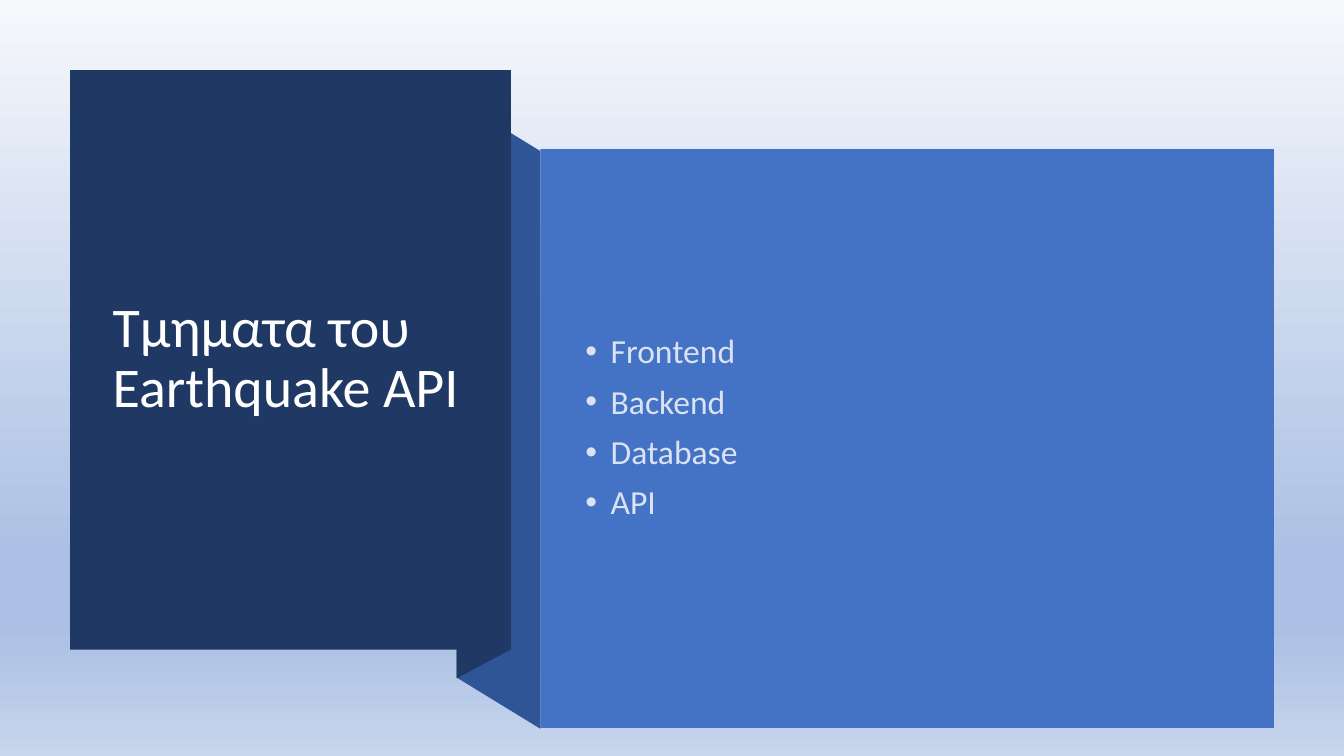
from lxml import etree
from pptx import Presentation
from pptx.dml.color import RGBColor as RGB
from pptx.enum.shapes import MSO_SHAPE as SHAPE
from pptx.enum.text import MSO_ANCHOR as ANCHOR
from pptx.oxml.ns import qn
from pptx.util import Pt

NAVY = RGB(0x20, 0x38, 0x64)
FOLD_BLUE = RGB(0x2F, 0x55, 0x97)
PANEL_BLUE = RGB(0x44, 0x72, 0xC4)
WHITE = RGB(0xFF, 0xFF, 0xFF)
PALE_BLUE = RGB(0xDA, 0xE3, 0xF3)
SKY_STOPS = [
    (0, RGB(0xF6, 0xF8, 0xFC)),
    (74, RGB(0xAB, 0xC0, 0xE4)),
    (83, RGB(0xAB, 0xC0, 0xE4)),
    (100, RGB(0xC7, 0xD5, 0xED)),
]


def set_background(s, stops):
    fill = s.background.fill
    fill.gradient()
    fill.gradient_angle = 270  # counter-clockwise: runs from top to bottom
    gs_list = next(s.element.iter(qn("a:gsLst")))
    for gs in list(gs_list):
        gs_list.remove(gs)
    for percent, color in stops:
        gs = etree.SubElement(gs_list, qn("a:gs"), pos=str(percent * 1000))
        etree.SubElement(gs, qn("a:srgbClr"), val=str(color))


def paint(sp, color):
    sp.shadow.inherit = False
    sp.fill.solid()
    sp.fill.fore_color.rgb = color
    sp.line.fill.background()


def add_polygon(s, points, color):
    start, *rest = [(Pt(x), Pt(y)) for x, y in points]
    builder = s.shapes.build_freeform(*start)
    builder.add_line_segments(rest, close=True)
    paint(builder.convert_to_shape(), color)


def add_panel(s, x, y, w, h, color):
    paint(s.shapes.add_shape(SHAPE.RECTANGLE, Pt(x), Pt(y), Pt(w), Pt(h)), color)


def add_bullet(p, indent):
    pPr = p._p.get_or_add_pPr()
    pPr.set("marL", str(Pt(indent)))
    pPr.set("indent", str(-Pt(indent)))
    etree.SubElement(pPr, qn("a:buFont"), typeface="Arial")
    etree.SubElement(pPr, qn("a:buChar"), char="•")


def add_text(s, x, y, w, h, lines, *, size, color, font="Calibri",
             spacing=0.9, gap=0, bullet_indent=None):
    tf = s.shapes.add_textbox(Pt(x), Pt(y), Pt(w), Pt(h)).text_frame
    tf.word_wrap = True
    tf.vertical_anchor = ANCHOR.MIDDLE
    for i, line in enumerate(lines):
        p = tf.add_paragraph() if i else tf.paragraphs[0]
        if bullet_indent:
            add_bullet(p, bullet_indent)
        p.line_spacing = spacing
        p.space_before = Pt(gap if i else 0)
        r = p.add_run()
        r.text = line
        r.font.name = font
        r.font.size = Pt(size)
        r.font.color.rgb = color


def main():
    prs = Presentation()
    prs.slide_width, prs.slide_height = Pt(960), Pt(540)
    s = prs.slides.add_slide(prs.slide_layouts[6])
    set_background(s, SKY_STOPS)

    # Folded ribbon between the two panels
    add_polygon(s, [(386, 520.6), (326.2, 484), (326.2, 71.3), (386, 108)], FOLD_BLUE)
    add_polygon(s, [(364.6, 464), (326.2, 484.6), (326.2, 70.6), (364.6, 50)], NAVY)

    # Title panel
    add_panel(s, 50, 50, 315, 414, NAVY)
    add_text(s, 73.4, 77, 267.1, 359.3, ["Τμηματα του Earthquake API"],
             size=40, color=WHITE)

    # List panel
    add_panel(s, 386, 106.6, 524, 413.4, PANEL_BLUE)
    add_text(s, 411.1, 135.4, 468.7, 341.3, ["Frontend", "Backend", "Database", "API"],
             size=24, color=PALE_BLUE, gap=10, bullet_indent=18)

    prs.save("out.pptx")


if __name__ == "__main__":
    main()
